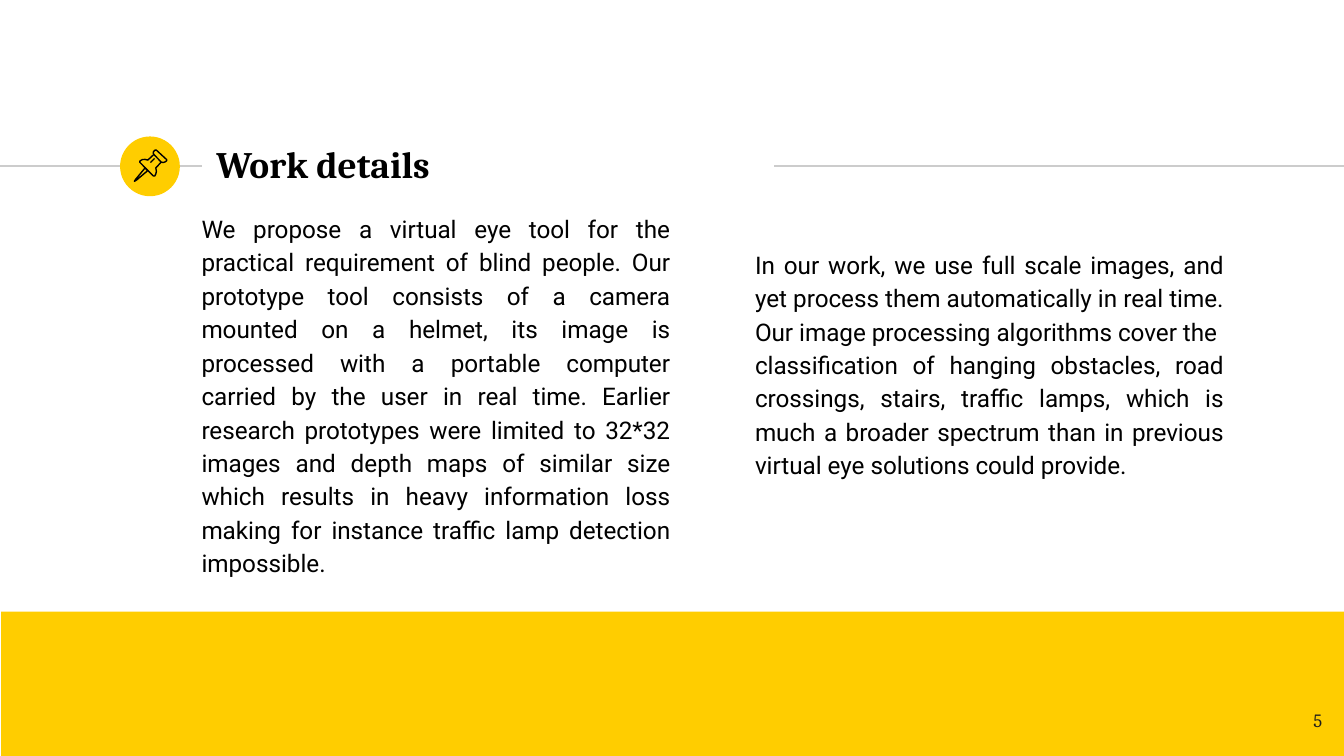
from pptx import Presentation
from pptx.util import Cm, Pt
from pptx.dml.color import RGBColor
from pptx.enum.shapes import MSO_SHAPE, MSO_CONNECTOR
from pptx.enum.text import PP_ALIGN, MSO_ANCHOR
from pptx.oxml.ns import qn
from lxml import etree


def color(value):
    return RGBColor.from_string(value)


def add_text(box, paragraphs, fmt, align=PP_ALIGN.LEFT, spacing=1.0, anchor=MSO_ANCHOR.TOP):
    tf = s.shapes.add_textbox(*[Cm(v) for v in box]).text_frame
    tf.word_wrap = True
    tf.vertical_anchor = anchor
    for side in ("left", "top", "right", "bottom"):
        setattr(tf, "margin_" + side, Cm(0.25))
    for i, text in enumerate(paragraphs):
        p = tf.paragraphs[0] if i == 0 else tf.add_paragraph()
        p.alignment = align
        p.line_spacing = spacing
        r = p.add_run()
        r.text = text
        for name, value in fmt.items():
            if name == "color":
                r.font.color.rgb = color(value)
            else:
                setattr(r.font, name, value)


prs = Presentation()
prs.slide_width = Cm(25.4)
prs.slide_height = Cm(14.29)
s = prs.slides.add_slide(prs.slide_layouts[6])

for x1, x2 in [(0, 3.82), (14.63, 25.4)]:
    line = s.shapes.add_connector(MSO_CONNECTOR.STRAIGHT, Cm(x1), Cm(3.14), Cm(x2), Cm(3.14))
    line.line.color.rgb = color("CCCCCC")
    line.line.width = Pt(0.75)
    etree.SubElement(line._element.spPr, qn("a:effectLst"))

for kind, box in [
    (MSO_SHAPE.OVAL, (2.27, 2.58, 1.13, 1.13)),
    (MSO_SHAPE.RECTANGLE, (0.02, 11.56, 25.4, 2.73)),
]:
    sp = s.shapes.add_shape(kind, *[Cm(v) for v in box])
    sp.shadow.inherit = False
    sp.fill.solid()
    sp.fill.fore_color.rgb = color("FFCD00")
    sp.line.fill.background()

pin_parts = [
    ([(1080, 1250), (1010, 1335), (1000, 1350), (1017, 1340), (1100, 1270)], True),
    ([(1145, 1150), (1200, 1207), (1215, 1210), (1230, 1205), (1240, 1197), (1240, 1188),
      (1164, 1118), (1155, 1117), (1143, 1128), (1140, 1140)], True),
    ([(1145, 1150), (1100, 1192), (1080, 1187), (1060, 1188), (1042, 1198), (1040, 1208),
      (1142, 1310), (1152, 1310), (1160, 1295), (1164, 1275), (1160, 1250), (1200, 1207)], False),
    ([(1120, 1210), (1150, 1180)], False),
]
for points, closed in pin_parts:
    fb = s.shapes.build_freeform(*points[0], scale=Cm(2.54) / 1000)
    fb.add_line_segments(points[1:], close=closed)
    sp = fb.convert_to_shape()
    sp.shadow.inherit = False
    sp.fill.background()
    sp.line.color.rgb = color("000000")
    sp.line.width = Pt(0.75)

title = {"name": "Cambria", "size": Pt(20), "bold": True, "color": "000000"}
body = {"name": "Roboto", "size": Pt(13), "color": "000000"}
number = {"name": "Cambria", "size": Pt(10), "color": "1D1D1B"}

add_text((3.84, 2.49, 10.77, 1.22), ["Work details"], title, anchor=MSO_ANCHOR.MIDDLE)

columns = [
    (3.56, 3.71, [
        "We propose a virtual eye tool for the practical requirement of blind people. "
        "Our prototype tool consists of a camera mounted on a helmet, its image is processed "
        "with a portable computer carried by the user in real time. Earlier research prototypes "
        "were limited to 32*32 images and depth maps of similar size which results in heavy "
        "information loss making for instance traffic lamp detection impossible.",
    ]),
    (14.02, 4.39, [
        "In our work, we use full scale images, and yet process them automatically in real time. "
        "Our image processing algorithms cover the",
        "classification of hanging obstacles, road crossings, stairs, traffic lamps, which is "
        "much a broader spectrum than in previous virtual eye solutions could provide.",
    ]),
]
for x, y, paragraphs in columns:
    add_text((x, y, 9.35, 6.12), paragraphs, body, PP_ALIGN.JUSTIFY, 1.15)

add_text((23.72, 13.18, 1.52, 1.09), ["5"], number, PP_ALIGN.RIGHT)

prs.save("out.pptx")
